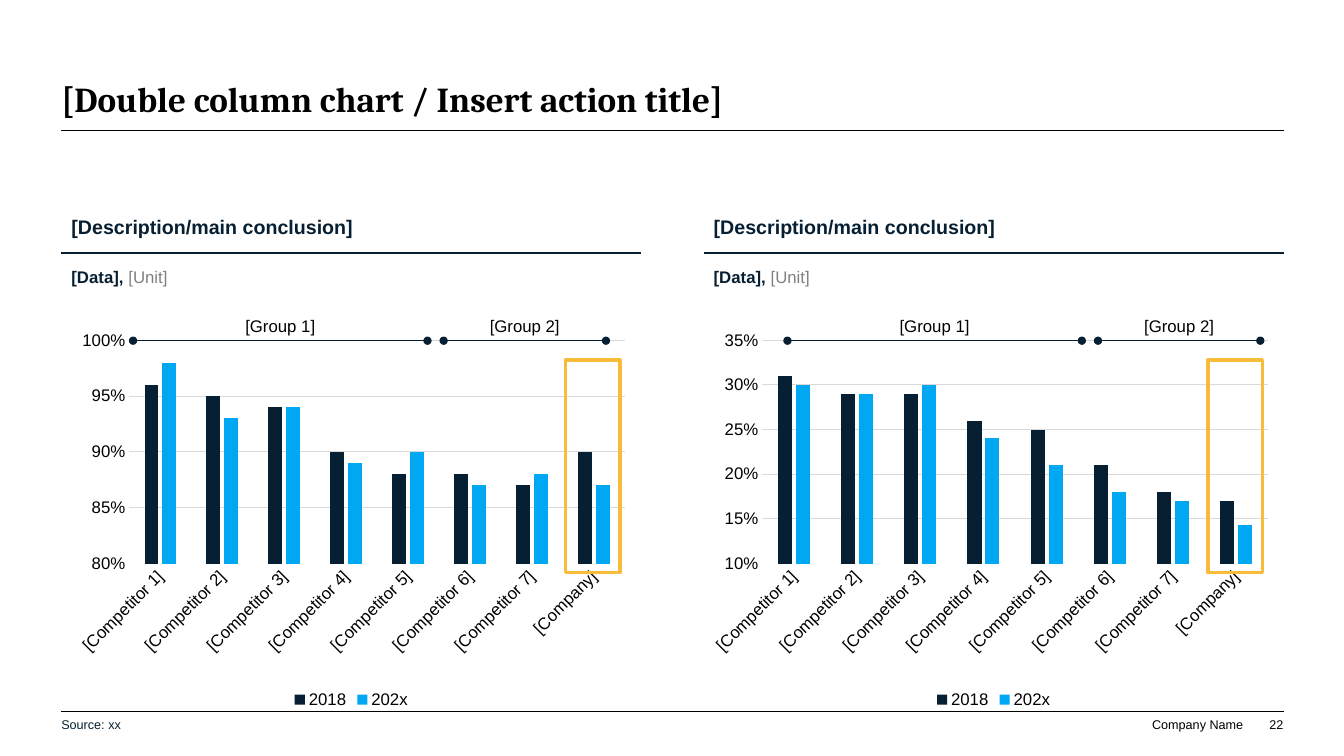
from lxml import etree
from pptx import Presentation
from pptx.chart.data import CategoryChartData
from pptx.dml.color import RGBColor
from pptx.enum.chart import XL_CHART_TYPE as ChartType, XL_LEGEND_POSITION as LegendPosition
from pptx.enum.chart import XL_TICK_MARK as TickMark
from pptx.enum.shapes import MSO_CONNECTOR as Connector, MSO_SHAPE as Shape
from pptx.enum.text import MSO_ANCHOR as Anchor, PP_ALIGN as Align
from pptx.oxml import parse_xml
from pptx.oxml.ns import nsdecls, qn
from pptx.util import Inches, Pt

MARGIN, PANEL_WIDTH, GUTTER = 0.61, 5.75, 0.62
CONTENT_WIDTH = 2 * PANEL_WIDTH + GUTTER
RIGHT_EDGE = MARGIN + CONTENT_WIDTH
PADDING = (0.1, 0.05)
GROUP_TOP, GROUP_LINE, LABEL_HEIGHT = 3.08, 3.38, 0.3
GROUPS = (("[Group 1]", 0, 2.92), ("[Group 2]", 3.08, 1.61))

NAVY, BLUE, GOLD = "061F32", "00A7F2", "F8BC3B"
BLACK, WHITE, GREY, LIGHT_GREY = "000000", "FFFFFF", "808080", "D9D9D9"

CATEGORIES = [f"[Competitor {number}]" for number in range(1, 8)] + ["[Company]"]
PANELS = (
    dict(
        series={
            "2018": (0.96, 0.95, 0.94, 0.9, 0.88, 0.88, 0.87, 0.9),
            "202x": (0.98, 0.93, 0.94, 0.89, 0.9, 0.87, 0.88, 0.87),
        },
        scale=(0.8, 1),
        plot=(0.117, 0.038, 0.855, 0.577),
        group_offset=0.71,
    ),
    dict(
        series={
            "2018": (0.31, 0.29, 0.29, 0.26, 0.25, 0.21, 0.18, 0.17),
            "202x": (0.3, 0.29, 0.3, 0.24, 0.21, 0.18, 0.17, 0.143),
        },
        scale=(0.1, 0.35),
        plot=(0.101, 0.038, 0.872, 0.577),
        group_offset=0.83,
    ),
)


def color(value):
    return RGBColor.from_string(value)


def style_font(font, size, value=BLACK, bold=False, name="Arial"):
    font.name, font.size, font.bold = name, Pt(size), bold
    font.color.rgb = color(value)


def add_text(slide, box, text, size, value=BLACK, bold=False, name="Arial",
             align=Align.LEFT, anchor=Anchor.TOP, padding=PADDING, wrap=True):
    frame = slide.shapes.add_textbox(*map(Inches, box)).text_frame
    frame.word_wrap = wrap
    frame.vertical_anchor = anchor
    frame.margin_left = frame.margin_right = Inches(padding[0])
    frame.margin_top = frame.margin_bottom = Inches(padding[1])
    paragraph = frame.paragraphs[0]
    paragraph.text = text
    paragraph.alignment = align
    style_font(paragraph.font, size, value, bold, name)
    return paragraph


def add_rule(slide, left, top, width, value, weight, dots=False):
    line = slide.shapes.add_connector(
        Connector.STRAIGHT, Inches(left), Inches(top), Inches(left + width), Inches(top))
    line.line.color.rgb = color(value)
    line.line.width = Pt(weight)
    if dots:
        outline = line.line._get_or_add_ln()
        for end in ("a:headEnd", "a:tailEnd"):
            etree.SubElement(outline, qn(end), type="oval")
    etree.SubElement(line._element.spPr, qn("a:effectLst"))


def set_plot_area(chart, plot):
    area = chart._chartSpace.chart.plotArea
    for layout in area.findall(qn("c:layout")):
        area.remove(layout)
    sizes = "".join(f'<c:{tag} val="{share}"/>' for tag, share in zip("xywh", plot))
    modes = '<c:xMode val="edge"/><c:yMode val="edge"/>'
    area.insert(0, parse_xml(
        f'<c:layout {nsdecls("c")}><c:manualLayout><c:layoutTarget val="inner"/>'
        f'{modes}{sizes}</c:manualLayout></c:layout>'))


def add_columns(slide, left, series, scale, plot):
    data = CategoryChartData(number_format="0%")
    data.categories = CATEGORIES
    for label, values in series.items():
        data.add_series(label, values)
    chart = slide.shapes.add_chart(
        ChartType.COLUMN_CLUSTERED, Inches(left), Inches(3.23),
        Inches(PANEL_WIDTH), Inches(3.84), data).chart
    style_font(chart.font, 12)
    chart.has_title = False
    chart.has_legend = True
    chart.legend.position = LegendPosition.BOTTOM
    chart.legend.include_in_layout = False
    style_font(chart.legend.font, 12)

    columns = chart.plots[0]
    columns.gap_width, columns.overlap = 219, -27
    columns.vary_by_categories = False
    for column, fill in zip(columns.series, (NAVY, BLUE)):
        column.format.fill.solid()
        column.format.fill.fore_color.rgb = color(fill)

    for axis in (chart.category_axis, chart.value_axis):
        axis.major_tick_mark = axis.minor_tick_mark = TickMark.NONE
        style_font(axis.tick_labels.font, 12)
    category_axis, value_axis = chart.category_axis, chart.value_axis
    category_axis.format.line.color.rgb = color(WHITE)
    category_axis.format.line.width = Pt(0.75)
    category_axis._element.find(qn("c:txPr")).find(qn("a:bodyPr")).set("rot", "-2700000")
    value_axis.minimum_scale, value_axis.maximum_scale = scale
    value_axis.major_unit = 0.05
    value_axis.tick_labels.number_format = "0%"
    value_axis.tick_labels.number_format_is_linked = False
    value_axis.format.line.fill.background()
    value_axis.major_gridlines.format.line.color.rgb = color(LIGHT_GREY)
    value_axis.major_gridlines.format.line.width = Pt(0.75)
    set_plot_area(chart, plot)


def add_groups(slide, left):
    for label, offset, width in GROUPS:
        add_rule(slide, left + offset, GROUP_LINE, width, NAVY, 0.75, dots=True)
        add_text(slide, (left + offset, GROUP_TOP, width, LABEL_HEIGHT), label, 12,
                 align=Align.CENTER)


def add_highlight(slide, left):
    frame = slide.shapes.add_shape(Shape.RECTANGLE, *map(Inches, (left, 3.57, 0.54, 2.11)))
    frame.shadow.inherit = False
    frame.fill.background()
    frame.line.color.rgb = color(GOLD)
    frame.line.width = Pt(2.5)


def add_data_label(slide, left):
    paragraph = add_text(slide, (left, 2.6, 2.69, LABEL_HEIGHT), "", 12)
    for text, value, bold in (("[Data], ", NAVY, True), ("[Unit]", GREY, False)):
        run = paragraph.add_run()
        run.text = text
        style_font(run.font, 12, value, bold)


def add_panel(slide, left, series, scale, plot, group_offset):
    add_text(slide, (left, 1.93, PANEL_WIDTH, 0.48), "[Description/main conclusion]",
             14, NAVY, bold=True, anchor=Anchor.BOTTOM)
    add_rule(slide, left, 2.51, PANEL_WIDTH, NAVY, 1.25)
    add_data_label(slide, left)
    add_columns(slide, left, series, scale, plot)
    add_groups(slide, left + group_offset)
    add_highlight(slide, left + 5)


def add_frame(slide):
    add_text(slide, (MARGIN, 0.39, CONTENT_WIDTH, 0.8),
             "[Double column chart / Insert action title]", 25, bold=True, name="Cambria",
             anchor=Anchor.BOTTOM, padding=(0, 0))
    for top in (1.29, 7.06):
        add_rule(slide, MARGIN, top, CONTENT_WIDTH, BLACK, 0.5)
    add_text(slide, (MARGIN - PADDING[0], 6.99, 7.98, 0.4), "Source: xx", 9, "062032",
             anchor=Anchor.MIDDLE)
    for text, right, width in (("Company Name", RIGHT_EDGE - 0.4, 0.91),
                               ("22", RIGHT_EDGE, 0.36)):
        add_text(slide, (right - width, 7.11, width, 0.15), text, 9, align=Align.RIGHT,
                 anchor=Anchor.BOTTOM, padding=(0, 0), wrap=False)


def main():
    presentation = Presentation()
    presentation.slide_width, presentation.slide_height = Inches(13.33), Inches(7.5)
    slide = presentation.slides.add_slide(presentation.slide_layouts[6])
    add_frame(slide)
    for column, panel in enumerate(PANELS):
        add_panel(slide, MARGIN + column * (PANEL_WIDTH + GUTTER), **panel)
    presentation.save("out.pptx")


if __name__ == "__main__":
    main()
